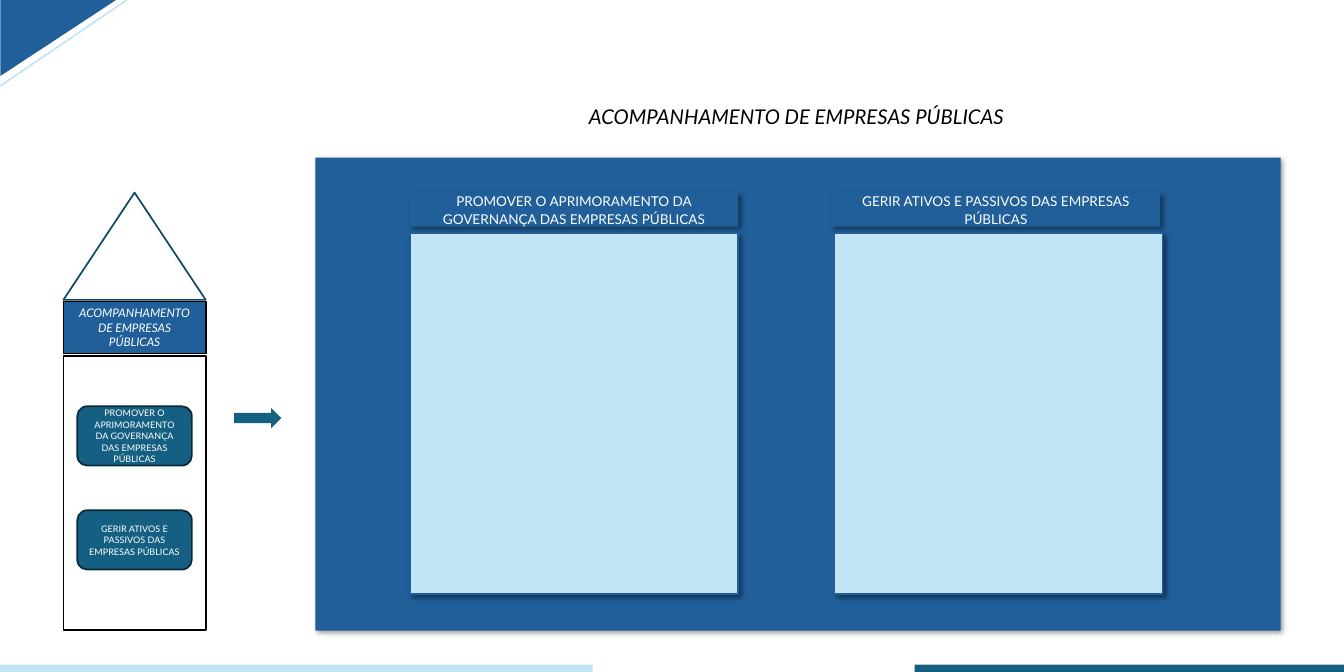
"""Builds the slide on the monitoring of public companies."""
from dataclasses import dataclass
from typing import Optional

from lxml.etree import SubElement
from pptx import Presentation
from pptx.dml.color import RGBColor
from pptx.enum.shapes import MSO_CONNECTOR, MSO_SHAPE
from pptx.enum.text import MSO_ANCHOR, MSO_AUTO_SIZE, PP_ALIGN
from pptx.oxml.ns import qn
from pptx.util import Inches, Pt

WHITE = RGBColor(0xFF, 0xFF, 0xFF)
BLACK = RGBColor(0x00, 0x00, 0x00)
BLUE = RGBColor(0x21, 0x5F, 0x9A)
SKY = RGBColor(0xC1, 0xE5, 0xF5)
TEAL = RGBColor(0x15, 0x60, 0x82)
DARK_TEAL = RGBColor(0x10, 0x48, 0x62)
NIGHT = RGBColor(0x09, 0x2A, 0x39)

THEME = "ACOMPANHAMENTO DE EMPRESAS PÚBLICAS"
GOVERNANCE = "PROMOVER O APRIMORAMENTO DA GOVERNANÇA DAS EMPRESAS PÚBLICAS"
ASSETS = "GERIR ATIVOS E PASSIVOS DAS EMPRESAS PÚBLICAS"


@dataclass
class Box:
    left: float
    top: float
    width: float
    height: float
    fill: RGBColor
    line: Optional[RGBColor] = None
    kind: MSO_SHAPE = MSO_SHAPE.RECTANGLE
    text: str = ""
    size: float = 12
    italic: bool = False
    spacing: float = 1.0
    shadow: bool = False
    rotation: float = 0


def write(s, text: str, size: float, color: RGBColor, italic: bool, spacing: float) -> None:
    tf = s.text_frame
    tf.word_wrap = True
    tf.auto_size = MSO_AUTO_SIZE.NONE
    tf.vertical_anchor = MSO_ANCHOR.MIDDLE
    p = tf.paragraphs[0]
    p.text = text
    p.alignment = PP_ALIGN.CENTER
    p.line_spacing = spacing
    p.font.name = "Lato"
    p.font.size = Pt(size)
    p.font.italic = italic
    p.font.color.rgb = color


def cast_shadow(s) -> None:
    effects = s._element.spPr.find(qn("a:effectLst"))
    shadow = SubElement(effects, qn("a:outerShdw"), blurRad=str(Pt(4)), dist=str(Pt(3)),
                        dir="2700000", algn="tl", rotWithShape="0")
    color = SubElement(shadow, qn("a:srgbClr"), val=str(BLACK))
    SubElement(color, qn("a:alpha"), val="40000")


def draw(slide, box: Box) -> None:
    s = slide.shapes.add_shape(box.kind, Inches(box.left), Inches(box.top),
                               Inches(box.width), Inches(box.height))
    s.rotation = box.rotation
    s.shadow.inherit = False
    s.fill.solid()
    s.fill.fore_color.rgb = box.fill
    if box.line is None:
        s.line.fill.background()
    else:
        s.line.color.rgb = box.line
        s.line.width = Pt(1.5)
    if box.shadow:
        cast_shadow(s)
    if box.text:
        write(s, box.text, box.size, WHITE, box.italic, box.spacing)


def draw_title(slide) -> None:
    s = slide.shapes.title
    s.left, s.top, s.width, s.height = Inches(3.86), Inches(0.95), Inches(11.87), Inches(0.97)
    write(s, THEME, 18, BLACK, True, 1.0)


def draw_corner_line(slide) -> None:
    s = slide.shapes.add_connector(MSO_CONNECTOR.STRAIGHT, 0, Inches(1.06), Inches(1.56), 0)
    s.line.color.rgb = SKY
    s.line.width = Pt(1.5)
    SubElement(s._element.spPr, qn("a:effectLst"))


def main() -> None:
    prs = Presentation()
    prs.slide_width, prs.slide_height = Inches(16.53), Inches(8.27)
    slide = prs.slides.add_slide(prs.slide_layouts[5])
    draw_title(slide)
    draw_corner_line(slide)

    boxes = [
        Box(0.25, -0.25, 0.94, 1.43, BLUE, kind=MSO_SHAPE.RIGHT_TRIANGLE, rotation=90),
        Box(11.25, 8.18, 5.28, 0.09, TEAL),
        Box(0, 8.18, 7.29, 0.09, SKY),
        Box(2.88, 5.02, 0.58, 0.25, TEAL, kind=MSO_SHAPE.RIGHT_ARROW),
        Box(3.88, 1.94, 11.87, 5.82, BLUE, shadow=True),
        Box(0.78, 2.37, 1.75, 1.32, WHITE, DARK_TEAL, MSO_SHAPE.ISOSCELES_TRIANGLE),
        Box(0.78, 4.38, 1.75, 3.37, WHITE, BLACK),
        Box(0.78, 3.71, 1.75, 0.64, BLUE, BLACK, text=THEME, size=10.5, italic=True),
    ]
    for text, button_top, header_left, panel_left in (
        (GOVERNANCE, 5, 5.04, 5.04),
        (ASSETS, 6.28, 10.23, 10.26),
    ):
        boxes += [
            Box(0.95, button_top, 1.41, 0.73, TEAL, NIGHT, MSO_SHAPE.ROUNDED_RECTANGLE,
                text, size=8, spacing=1.06),
            Box(header_left, 2.37, 4.04, 0.42, BLUE, text=text, spacing=1.06, shadow=True),
            Box(panel_left, 2.87, 4.04, 4.44, SKY, BLUE, shadow=True),
        ]
    for box in boxes:
        draw(slide, box)
    prs.save("out.pptx")


if __name__ == "__main__":
    main()
